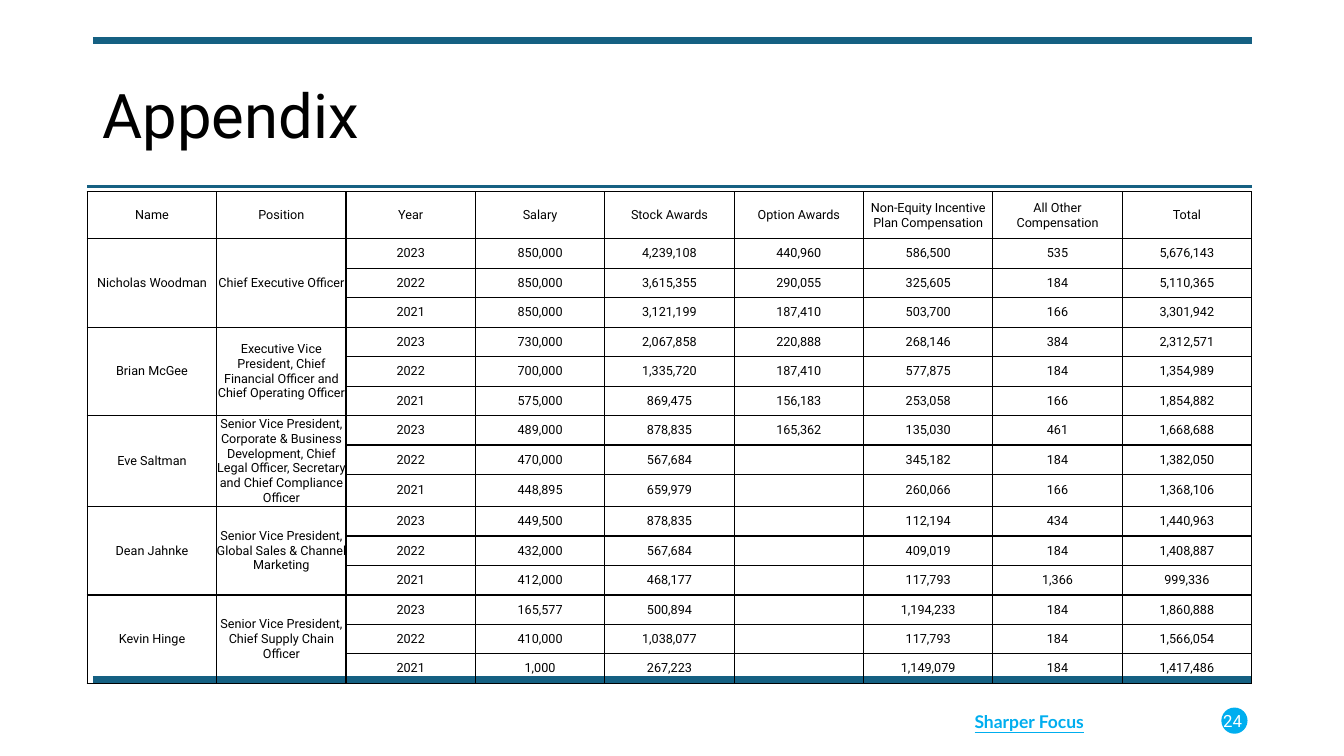
from dataclasses import dataclass

from lxml import etree
from pptx import Presentation
from pptx.dml.color import RGBColor
from pptx.enum.shapes import MSO_CONNECTOR, MSO_SHAPE
from pptx.enum.text import MSO_ANCHOR, PP_ALIGN
from pptx.oxml.ns import qn
from pptx.util import Cm, Pt

STRAIGHT = MSO_CONNECTOR.STRAIGHT
OVAL = MSO_SHAPE.OVAL
MIDDLE, TOP = MSO_ANCHOR.MIDDLE, MSO_ANCHOR.TOP
LEFT, CENTER, RIGHT = PP_ALIGN.LEFT, PP_ALIGN.CENTER, PP_ALIGN.RIGHT


@dataclass(frozen=True)
class Theme:
    ink: str = "000000"
    rule: str = "156082"
    accent: str = "00AEEF"
    light: str = "FFFFFF"
    body: str = "Roboto"
    brand: str = "Lato"
    title: float = 44
    link: float = 12.5
    page: float = 12
    cell: float = 9
    border: float = 1


THEME = Theme()

HEADS = ["Name", "Position", "Year", "Salary", "Stock Awards", "Option Awards",
         "Non-Equity Incentive Plan Compensation", "All Other Compensation", "Total"]
YEARS = ["2023", "2022", "2021"]
STAFF = [
    ("Nicholas Woodman", "Chief Executive Officer", [
        ["850,000", "4,239,108", "440,960", "586,500", "535", "5,676,143"],
        ["850,000", "3,615,355", "290,055", "325,605", "184", "5,110,365"],
        ["850,000", "3,121,199", "187,410", "503,700", "166", "3,301,942"]]),
    ("Brian McGee",
     "Executive Vice President, Chief Financial Officer and Chief Operating Officer", [
         ["730,000", "2,067,858", "220,888", "268,146", "384", "2,312,571"],
         ["700,000", "1,335,720", "187,410", "577,875", "184", "1,354,989"],
         ["575,000", "869,475", "156,183", "253,058", "166", "1,854,882"]]),
    ("Eve Saltman",
     "Senior Vice President, Corporate & Business Development, Chief Legal Officer, "
     "Secretary and Chief Compliance Officer", [
         ["489,000", "878,835", "165,362", "135,030", "461", "1,668,688"],
         ["470,000", "567,684", "", "345,182", "184", "1,382,050"],
         ["448,895", "659,979", "", "260,066", "166", "1,368,106"]]),
    ("Dean Jahnke", "Senior Vice President, Global Sales & Channel Marketing", [
        ["449,500", "878,835", "", "112,194", "434", "1,440,963"],
        ["432,000", "567,684", "", "409,019", "184", "1,408,887"],
        ["412,000", "468,177", "", "117,793", "1,366", "999,336"]]),
    ("Kevin Hinge", "Senior Vice President, Chief Supply Chain Officer", [
        ["165,577", "500,894", "", "1,194,233", "184", "1,860,888"],
        ["410,000", "1,038,077", "", "117,793", "184", "1,566,054"],
        ["1,000", "267,223", "", "1,149,079", "184", "1,417,486"]]),
]


def add_run(para, text, size, color, font=THEME.body):
    run = para.add_run()
    run.text = text
    run.font.size = Pt(size)
    run.font.name = font
    run.font.color.rgb = RGBColor.from_string(color)
    return run


def add_text(slide, box, text, size, color, font=THEME.body, align=LEFT, anchor=MIDDLE):
    frame = slide.shapes.add_textbox(*map(Cm, box)).text_frame
    frame.word_wrap = True
    frame.vertical_anchor = anchor
    para = frame.paragraphs[0]
    para.alignment = align
    return add_run(para, text, size, color, font)


def add_rule(slide, left, right, y, width):
    line = slide.shapes.add_connector(STRAIGHT, Cm(left), Cm(y), Cm(right), Cm(y))
    line.line.color.rgb = RGBColor.from_string(THEME.rule)
    line.line.width = Pt(width)
    etree.SubElement(line._element.spPr, qn("a:effectLst"))


def add_dot(slide, left, top, size):
    dot = slide.shapes.add_shape(OVAL, Cm(left), Cm(top), Cm(size), Cm(size))
    dot.shadow.inherit = False
    dot.fill.solid()
    dot.fill.fore_color.rgb = RGBColor.from_string(THEME.accent)
    dot.line.fill.background()


def add_edges(cell):
    props = cell._tc.get_or_add_tcPr()
    for side in ("lnL", "lnR", "lnT", "lnB"):
        edge = etree.SubElement(props, qn(f"a:{side}"), w=str(Pt(THEME.border)))
        fill = etree.SubElement(edge, qn("a:solidFill"))
        etree.SubElement(fill, qn("a:srgbClr"), val=THEME.ink)


def fill_cell(cell, text):
    add_edges(cell)
    cell.fill.background()
    cell.vertical_anchor = MIDDLE
    cell.margin_left = cell.margin_right = cell.margin_top = cell.margin_bottom = 0
    para = cell.text_frame.paragraphs[0]
    para.alignment = CENTER
    if text:
        add_run(para, text, THEME.cell, THEME.ink)
    else:
        etree.SubElement(para._p, qn("a:endParaRPr"), sz=str(THEME.cell * 100))


def pay_rows():
    rows = [HEADS]
    for name, role, pay in STAFF:
        for i, (year, sums) in enumerate(zip(YEARS, pay)):
            lead = ["", ""] if i else [name, role]
            rows.append(lead + [year] + sums)
    return rows


def add_pay(slide, left, top, width, height, head):
    rows = pay_rows()
    frame = slide.shapes.add_table(len(rows), len(HEADS), Cm(left), Cm(top),
                                   Cm(width), Cm(height))
    table = frame.table
    table.first_row = table.horz_banding = False
    for col in table.columns:
        col.width = Cm(width / len(HEADS))
    for i, row in enumerate(table.rows):
        row.height = Cm(head if i == 0 else (height - head) / (len(rows) - 1))
    for r, row in enumerate(rows):
        for c, text in enumerate(row):
            fill_cell(table.cell(r, c), text)
    span = len(YEARS)
    for r in range(1, len(rows), span):
        for c in (0, 1):
            table.cell(r, c).merge(table.cell(r + span - 1, c))


def main():
    deck = Presentation()
    deck.slide_width, deck.slide_height = Cm(33.87), Cm(19.05)
    slide = deck.slides.add_slide(deck.slide_layouts[6])

    add_dot(slide, 30.78, 17.83, 0.66)
    link = add_text(slide, (24.31, 17.78, 5.08, 0.79), "Sharper Focus",
                    THEME.link, THEME.accent, THEME.brand, anchor=TOP)
    link.font.bold = link.font.underline = True
    for y in (1.02, 17.12):
        add_rule(slide, 2.34, 31.55, y, 4.5)
    title = (2.34, 1.02, 29.21, 3.68)
    add_text(slide, title, "Appendix", THEME.title, THEME.ink)
    add_rule(slide, 2.2, 31.55, 4.7, 1.5)
    add_pay(slide, 2.2, 4.83, 29.34, 12.33, 1.19)
    add_text(slide, (23.93, 17.65, 7.62, 1.02), "24", THEME.page, THEME.light, align=RIGHT)

    deck.save("out.pptx")


if __name__ == "__main__":
    main()
